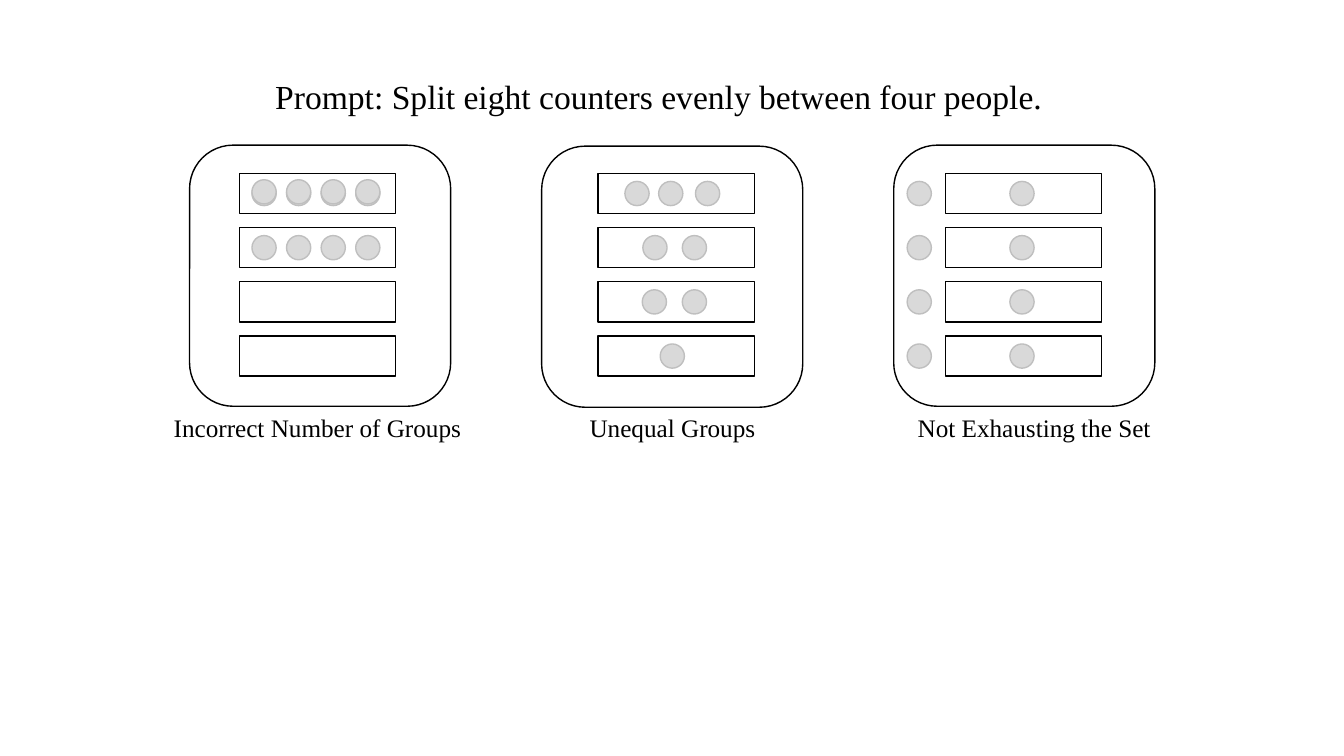
from pptx import Presentation
from pptx.dml.color import RGBColor
from pptx.enum.shapes import MSO_SHAPE
from pptx.enum.text import MSO_ANCHOR, MSO_AUTO_SIZE, PP_ALIGN
from pptx.util import Pt

CARD, BOX, COUNTER = MSO_SHAPE.ROUNDED_RECTANGLE, MSO_SHAPE.RECTANGLE, MSO_SHAPE.OVAL
CENTER = PP_ALIGN.CENTER
TOP = MSO_ANCHOR.TOP
GROW = MSO_AUTO_SIZE.SHAPE_TO_FIT_TEXT

COLORS = {"ink": "000000", "counter": "D9D9D9", "rim": "BFBFBF"}
FONT = "Times New Roman"

CARD_TOP, CARD_SIZE = 103.7, 186.5
ROW_TOP, ROW_PITCH = 123.8, 38.7
BOX_W, BOX_H = 111.6, 28.8
COUNTER_SIZE, COUNTER_INSET = 17.3, 5.8
CAPTION_TOP, CAPTION_H = 290.9, 29.1

FOUR = [180 + 24.7 * i for i in range(4)]
LEFT_OVER = [648, 721.4]

# caption, caption left, caption width, card left, card drop, box left, counter lefts by row
PANELS = [
    ("Incorrect Number of Groups", 114.5, 224.6, 135.4, 0, 171, [FOUR, FOUR, [], []]),
    ("Unequal Groups", 373, 214.6, 386.9, 0.7, 427.2,
     [[446.4, 470.5, 496.8], [459.2, 487.4], [458.8, 487.4], [471.6]]),
    ("Not Exhausting the Set", 626.4, 224.6, 638.4, 0, 675.4, [LEFT_OVER] * 4),
]


class Deck:
    """Holds the style and the current slide, and adds each kind of element."""

    def __init__(self, prs):
        self.slide = prs.slides.add_slide(prs.slide_layouts[5])

    def color(self, name):
        return RGBColor.from_string(COLORS[name])

    def set_text(self, sp, text, size):
        tf = sp.text_frame
        tf.word_wrap = True
        tf.auto_size = GROW
        tf.vertical_anchor = TOP
        p = tf.paragraphs[0]
        p.text = text
        p.alignment = CENTER
        p.font.name = FONT
        p.font.size = Pt(size)
        p.font.color.rgb = self.color("ink")

    def title(self, text, x, y, w, h):
        sp = self.slide.shapes.title
        sp.left, sp.top, sp.width, sp.height = Pt(x), Pt(y), Pt(w), Pt(h)
        self.set_text(sp, text, 24)

    def caption(self, text, x, y, w, h):
        sp = self.slide.shapes.add_textbox(Pt(x), Pt(y), Pt(w), Pt(h))
        self.set_text(sp, text, 18)

    def shape(self, kind, x, y, w, h, line="ink", fill=None):
        sp = self.slide.shapes.add_shape(kind, Pt(x), Pt(y), Pt(w), Pt(h))
        sp.shadow.inherit = False
        if fill:
            sp.fill.solid()
            sp.fill.fore_color.rgb = self.color(fill)
        else:
            sp.fill.background()
        sp.line.color.rgb = self.color(line)
        sp.line.width = Pt(1)

    def counters(self, lefts, y):
        for x in lefts:
            self.shape(COUNTER, x, y, COUNTER_SIZE, COUNTER_SIZE, "rim", "counter")


def main():
    prs = Presentation()
    prs.slide_width, prs.slide_height = Pt(960), Pt(540)
    s = Deck(prs)
    s.title("Prompt: Split eight counters evenly between four people.", 176.4, 50.4, 588.2, 36)
    for text, text_x, text_w, card_x, drop, box_x, rows in PANELS:
        s.shape(CARD, card_x, CARD_TOP + drop, CARD_SIZE, CARD_SIZE)
        for i, lefts in enumerate(rows):
            y = ROW_TOP + ROW_PITCH * i
            s.shape(BOX, box_x, y, BOX_W, BOX_H)
            s.counters(lefts, y + COUNTER_INSET)
        s.caption(text, text_x, CAPTION_TOP, text_w, CAPTION_H)
    s.counters(FOUR, ROW_TOP + COUNTER_INSET - 1.2)
    prs.save("out.pptx")


if __name__ == "__main__":
    main()
